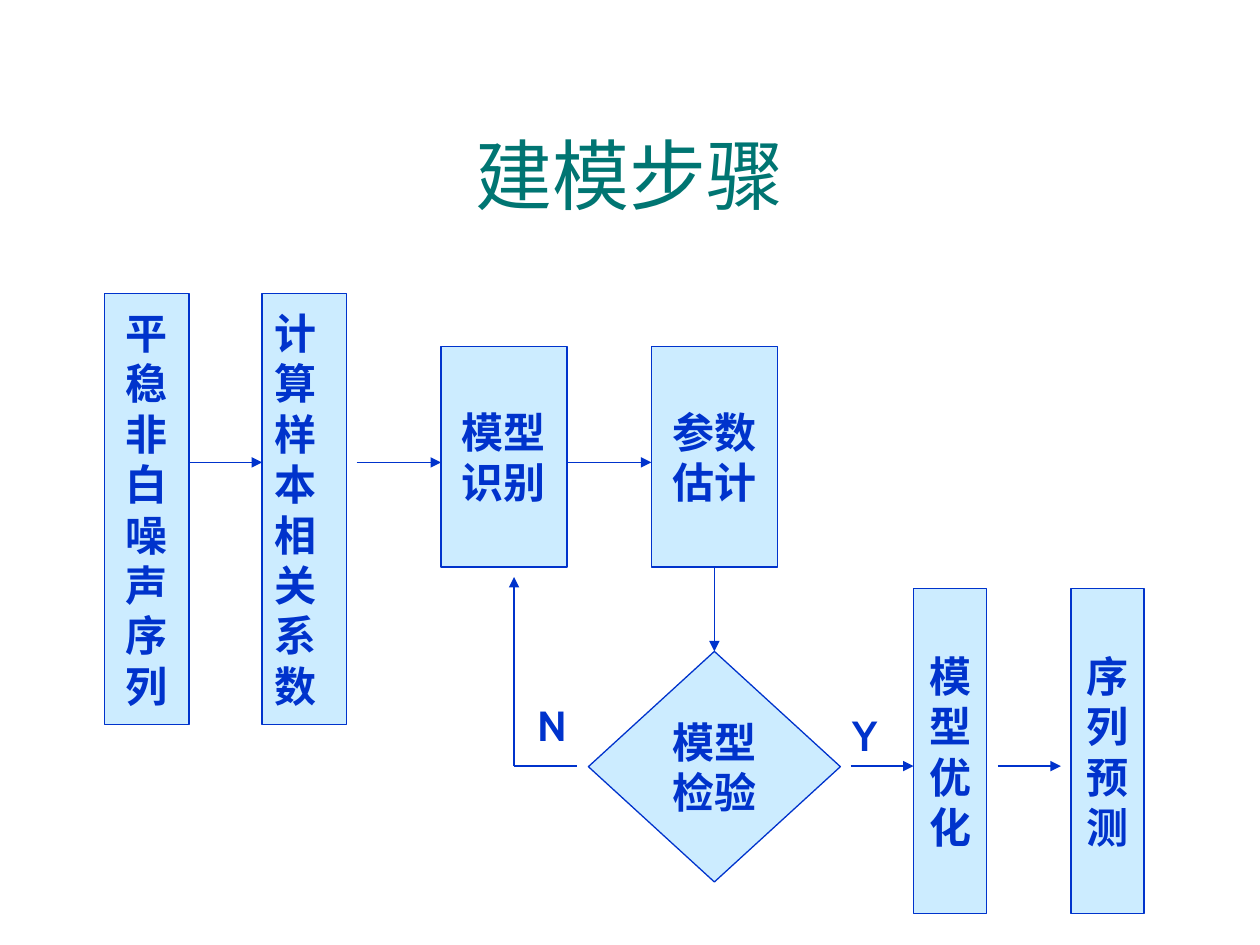
from lxml.etree import SubElement
from pptx import Presentation
from pptx.dml.color import RGBColor
from pptx.enum.shapes import MSO_CONNECTOR as Link, MSO_SHAPE as Shape
from pptx.enum.text import MSO_ANCHOR as Anchor, MSO_AUTO_SIZE as AutoSize, PP_ALIGN as Align
from pptx.oxml.ns import qn
from pptx.util import Inches, Pt

TEAL = RGBColor(0x00, 0x75, 0x72)
BLUE = RGBColor(0x00, 0x33, 0xCC)
PALE_BLUE = RGBColor(0xCC, 0xEC, 0xFF)

TITLE = "建模步骤"
TITLE_FONT = {"name": "Arial", "size": Pt(44), "bold": False}
STEP_FONT = {"name": "Cabin", "size": Pt(24), "bold": True}

TALL, BLOCK, SLIM = (0.67, 3.42), (1, 1.75), (0.58, 2.58)
TOP_FLOW, BOTTOM_FLOW = 3.67, 6.08
RETURN_X, CHECK_X = 4.08, 5.67

STEPS = [
    (list("平稳非白噪声序列"), Shape.RECTANGLE, (0.83, 2.33), TALL, Align.CENTER),
    (list("计算样本相关系数"), Shape.RECTANGLE, (2.08, 2.33), TALL, Align.LEFT),
    (["模型", "识别"], Shape.RECTANGLE, (3.5, 2.75), BLOCK, Align.CENTER),
    (["参数", "估计"], Shape.RECTANGLE, (5.17, 2.75), BLOCK, Align.CENTER),
    (["模型", "检验"], Shape.DIAMOND, (4.67, 5.17), (2, 1.83), Align.CENTER),
    (list("模型优化"), Shape.RECTANGLE, (7.25, 4.67), SLIM, Align.CENTER),
    (list("序列预测"), Shape.RECTANGLE, (8.5, 4.67), SLIM, Align.CENTER),
]
LINKS = [
    ((1.5, TOP_FLOW), (2.08, TOP_FLOW), True),
    ((2.83, TOP_FLOW), (3.5, TOP_FLOW), True),
    ((4.5, TOP_FLOW), (5.17, TOP_FLOW), True),
    ((CHECK_X, 4.5), (CHECK_X, 5.17), True),
    ((6.75, BOTTOM_FLOW), (7.25, BOTTOM_FLOW), True),
    ((7.92, BOTTOM_FLOW), (8.42, BOTTOM_FLOW), True),
    ((RETURN_X, BOTTOM_FLOW), (4.58, BOTTOM_FLOW), False),
    ((RETURN_X, BOTTOM_FLOW), (RETURN_X, 4.58), True),
]
BRANCHES = [("Y", (6.67, 5.58)), ("N", (4.17, 5.5))]
BRANCH_SIZE = (0.42, 0.5)


def write(frame, lines, font, color, align):
    for index, line in enumerate(lines):
        para = frame.paragraphs[0] if index == 0 else frame.add_paragraph()
        para.alignment = align
        span = para.add_run()
        span.text = line
        for name, value in font.items():
            setattr(span.font, name, value)
        span.font.color.rgb = color


def add_step(page, lines, kind, place, size, align):
    box = page.shapes.add_shape(kind, *map(Inches, place + size))
    box.shadow.inherit = False
    box.fill.solid()
    box.fill.fore_color.rgb = PALE_BLUE
    box.line.color.rgb = BLUE
    box.line.width = Pt(0.75)
    box.text_frame.word_wrap = False
    box.text_frame.vertical_anchor = Anchor.MIDDLE
    write(box.text_frame, lines, STEP_FONT, BLUE, align)


def add_link(page, start, end, arrow):
    link = page.shapes.add_connector(Link.STRAIGHT, *map(Inches, start + end))
    link.line.color.rgb = BLUE
    link.line.width = Pt(0.75)
    if arrow:
        SubElement(link.line._get_or_add_ln(), qn("a:tailEnd"), type="triangle")
    SubElement(link._element.spPr, qn("a:effectLst"))


def add_branch(page, label, place):
    box = page.shapes.add_textbox(*map(Inches, place + BRANCH_SIZE))
    box.text_frame.word_wrap = True
    box.text_frame.auto_size = AutoSize.SHAPE_TO_FIT_TEXT
    write(box.text_frame, [label], STEP_FONT, BLUE, Align.LEFT)
    box.text_frame.paragraphs[0].space_before = Pt(15)


def main():
    deck = Presentation()
    deck.slide_width, deck.slide_height = Inches(10), Inches(7.5)
    page = deck.slides.add_slide(deck.slide_layouts[5])

    title = page.shapes.title
    title.left, title.top, title.width, title.height = map(Inches, (0.33, 0.75, 9.34, 1.25))
    title.text_frame.vertical_anchor = Anchor.MIDDLE
    write(title.text_frame, [TITLE], TITLE_FONT, TEAL, Align.CENTER)

    for step in STEPS:
        add_step(page, *step)
    for link in LINKS:
        add_link(page, *link)
    for branch in BRANCHES:
        add_branch(page, *branch)
    deck.save("out.pptx")


if __name__ == "__main__":
    main()
